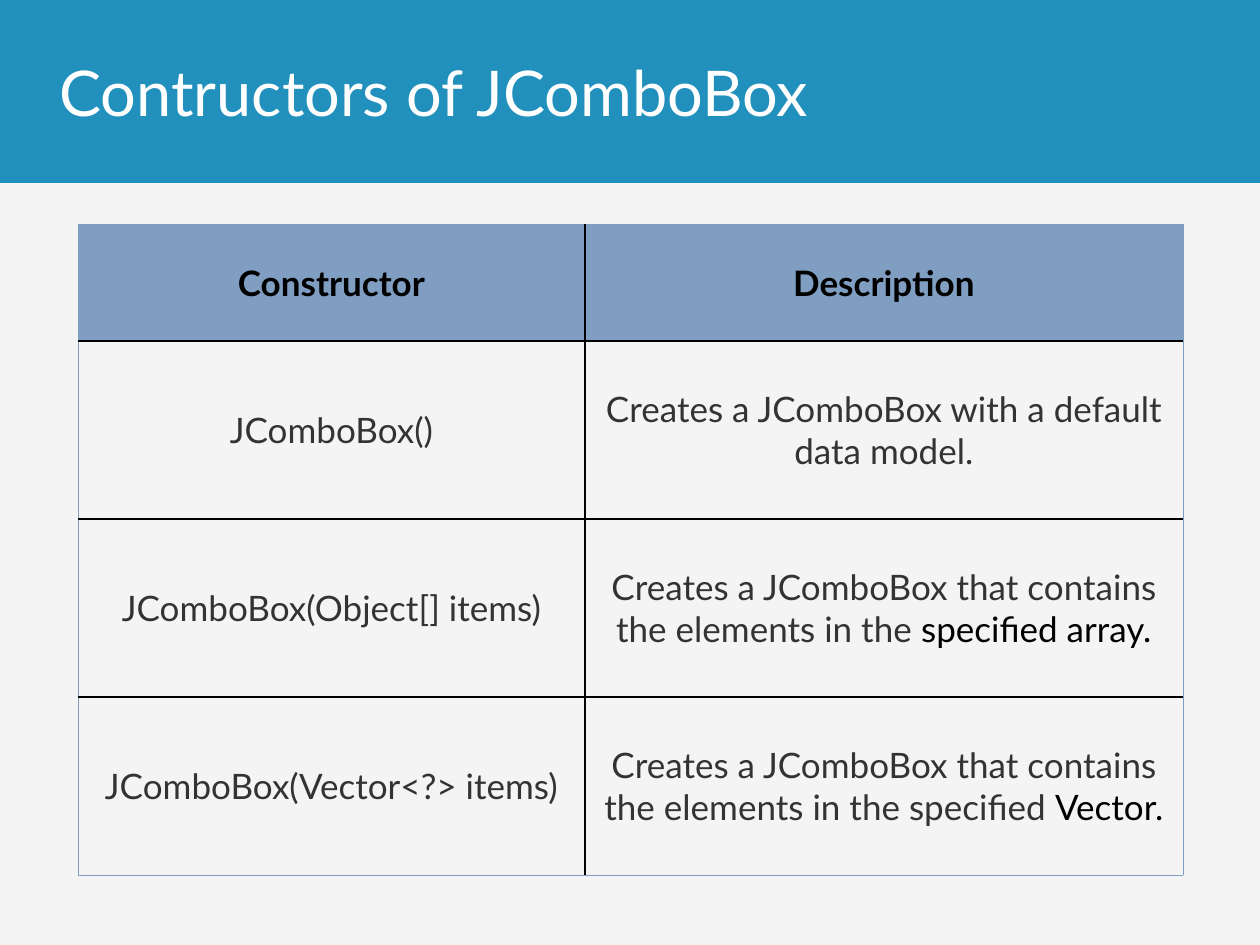
from dataclasses import dataclass

from lxml import etree
from pptx import Presentation
from pptx.dml.color import RGBColor
from pptx.enum.shapes import MSO_SHAPE
from pptx.enum.text import MSO_ANCHOR, PP_ALIGN
from pptx.oxml.ns import qn
from pptx.util import Pt

RECT = MSO_SHAPE.RECTANGLE
MIDDLE = MSO_ANCHOR.MIDDLE
LEFT, CENTER = PP_ALIGN.LEFT, PP_ALIGN.CENTER
EMU_PER_PX = 914400 // 126
TITLE_ONLY = 5


@dataclass(frozen=True)
class Theme:
    font: str = "Lato"
    title_size: int = 36
    table_size: int = 20
    background: str = "F4F4F5"
    band: str = "2190BC"
    header: str = "809EC2"
    white: str = "FFFFFF"
    black: str = "000000"
    body: str = "333333"
    outer_width: float = 0.5
    inner_width: float = 1


THEME = Theme()
COLUMNS = (507, 598)
ROWS = (117, 178, 178, 178)
HEADER = ("Constructor", "Description")
CONSTRUCTORS = (
    ("JComboBox()", "Creates a JComboBox with a default data model.", ""),
    ("JComboBox(Object[] items)",
     "Creates a JComboBox that contains the elements in the ", "specified array."),
    ("JComboBox(Vector<?> items)",
     "Creates a JComboBox that contains the elements in the specified ", "Vector."),
)


def px(*values):
    return [value * EMU_PER_PX for value in values]


def rgb(color):
    return RGBColor.from_string(color)


def set_attributes(target, values):
    for name, value in values.items():
        setattr(target, name, value)


def add_run(p, text, color, size, bold=False):
    r = p.add_run()
    r.text = text
    set_attributes(r.font, {"name": THEME.font, "size": Pt(size), "bold": bold})
    r.font.color.rgb = rgb(color)


def add_band(s):
    sp = s.shapes.add_shape(RECT, *px(0, 0, 1260, 183))
    sp.shadow.inherit = False
    sp.fill.solid()
    sp.fill.fore_color.rgb = rgb(THEME.band)
    sp.line.fill.background()


def format_title(s, text):
    title = s.shapes.title
    s.shapes._spTree.append(title._element)
    left, top, width, height = px(47, 0, 1086, 183)
    set_attributes(title, {"left": left, "top": top, "width": width, "height": height})
    title.text_frame.vertical_anchor = MIDDLE
    p = title.text_frame.paragraphs[0]
    p.alignment = LEFT
    add_run(p, text, THEME.white, THEME.title_size)


def add_border(cell, side, outer):
    width = THEME.outer_width if outer else THEME.inner_width
    line = etree.SubElement(cell._tc.get_or_add_tcPr(), qn(f"a:ln{side}"), w=str(Pt(width)))
    fill = etree.SubElement(line, qn("a:solidFill"))
    color = THEME.header if outer else THEME.black
    etree.SubElement(fill, qn("a:srgbClr"), val=color)


def format_cell(cell, runs, edges, header):
    for side, outer in edges.items():
        add_border(cell, side, outer)
    if header:
        cell.fill.solid()
        cell.fill.fore_color.rgb = rgb(THEME.header)
    else:
        cell.fill.background()
    margin = px(10 if header else 8)[0]
    set_attributes(cell, {
        "vertical_anchor": MIDDLE,
        "margin_left": margin, "margin_right": margin,
        "margin_top": margin, "margin_bottom": margin,
    })
    p = cell.text_frame.paragraphs[0]
    p.alignment = CENTER
    for text, color in runs:
        add_run(p, text, color, THEME.table_size, header)


def table_content():
    rows = [[[(text, THEME.black)] for text in HEADER]]
    for name, description, ending in CONSTRUCTORS:
        runs = [(description, THEME.body)]
        if ending:
            runs.append((ending, THEME.black))
        rows.append([[(name, THEME.body)], runs])
    return rows


def add_constructor_table(s):
    frame = s.shapes.add_table(
        len(ROWS), len(COLUMNS), *px(78, 224, sum(COLUMNS), sum(ROWS)))
    table = frame.table
    set_attributes(table, {"first_row": False, "horz_banding": False})
    for column, width in zip(table.columns, px(*COLUMNS)):
        column.width = width
    for row, height in zip(table.rows, px(*ROWS)):
        row.height = height
    for i, row in enumerate(table_content()):
        for j, runs in enumerate(row):
            edges = {"L": j == 0, "R": j == len(COLUMNS) - 1,
                     "T": i == 0, "B": i == len(ROWS) - 1}
            format_cell(table.cell(i, j), runs, edges, header=i == 0)


def main():
    prs = Presentation()
    prs.slide_width, prs.slide_height = px(1260, 945)
    s = prs.slides.add_slide(prs.slide_layouts[TITLE_ONLY])
    s.background.fill.solid()
    s.background.fill.fore_color.rgb = rgb(THEME.background)
    add_band(s)
    add_constructor_table(s)
    format_title(s, "Contructors of JComboBox")
    prs.save("out.pptx")


if __name__ == "__main__":
    main()
